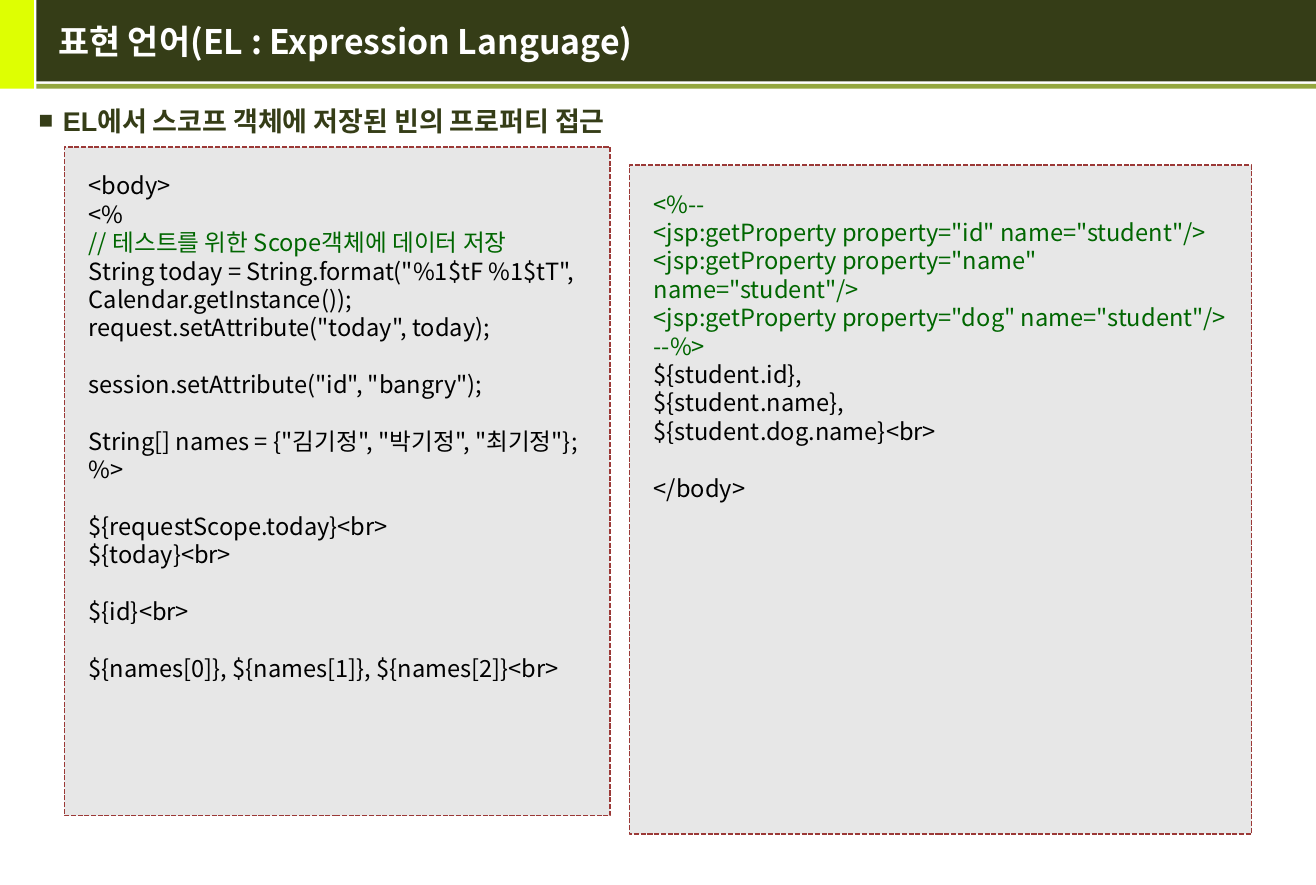
from pptx import Presentation
from pptx.dml.color import RGBColor
from pptx.enum.dml import MSO_LINE
from pptx.enum.shapes import MSO_SHAPE
from pptx.enum.text import MSO_ANCHOR, PP_ALIGN
from pptx.oxml.ns import qn
from pptx.util import Inches, Pt
from lxml.etree import SubElement

KOREAN_FONT = "Noto Sans CJK KR"
OLIVE, LIME, MOSS = "353D17", "DEFF02", "93A73F"
WHITE, BLACK, GREEN, GRAY, RED = "FFFFFF", "000000", "006600", "808080", "9B3937"
CODE_SIZE = 14
BLANK_LINE = 16.8

SCOPE_CODE = """<body>
<%
// 테스트를 위한 Scope객체에 데이터 저장
String today = String.format("%1$tF %1$tT", Calendar.getInstance());
request.setAttribute("today", today);

session.setAttribute("id", "bangry");

String[] names = {"김기정", "박기정", "최기정"};
%>

${requestScope.today}<br>
${today}<br>

${id}<br>

${names[0]}, ${names[1]}, ${names[2]}<br>"""

BEAN_CODE = """<%--
<jsp:getProperty property="id" name="student"/>
<jsp:getProperty property="name" name="student"/>
<jsp:getProperty property="dog" name="student"/>
--%>
${student.id},
${student.name},
${student.dog.name}<br>

</body>"""


def color(hex_code):
    """Turn a hex string into a colour."""
    return RGBColor.from_string(hex_code)


def style_paragraph(paragraph, size, hex_code, font=KOREAN_FONT, bold=False):
    """Left-align a paragraph and format its runs."""
    paragraph.alignment = PP_ALIGN.LEFT
    for run in paragraph.runs:
        run.font.size = Pt(size)
        run.font.name = font
        run.font.bold = bold
        run.font.color.rgb = color(hex_code)
        SubElement(run.font._element, qn("a:ea"), typeface=KOREAN_FONT)


def add_rect(slide, left, top, width, height, fill):
    """Add a plain filled rectangle without outline."""
    rect = slide.shapes.add_shape(
        MSO_SHAPE.RECTANGLE, Inches(left), Inches(top), Inches(width), Inches(height))
    rect.shadow.inherit = False
    rect.fill.solid()
    rect.fill.fore_color.rgb = color(fill)
    rect.line.fill.background()
    return rect


def add_text(slide, left, top, width, height, text, anchor=MSO_ANCHOR.TOP):
    """Add a wrapping text box and return its paragraph."""
    frame = slide.shapes.add_textbox(
        Inches(left), Inches(top), Inches(width), Inches(height)).text_frame
    frame.word_wrap = True
    frame.vertical_anchor = anchor
    frame.text = text
    return frame.paragraphs[0]


def add_square_bullet(paragraph, indent, hex_code):
    """Give a paragraph a hanging square bullet."""
    properties = paragraph._p.get_or_add_pPr()
    properties.set("marL", str(Inches(indent)))
    properties.set("indent", str(-Inches(indent)))
    bullet_color = SubElement(properties, qn("a:buClr"))
    SubElement(bullet_color, qn("a:srgbClr"), val=hex_code)
    SubElement(properties, qn("a:buSzPct"), val="90000")
    SubElement(properties, qn("a:buFont"), typeface="Arial")
    SubElement(properties, qn("a:buChar"), char="■")


def add_code_panel(slide, left, top, width, code, comment_lines):
    """Add a dashed code panel whose comment lines are green."""
    panel = add_rect(slide, left, top, width, 5.5, GRAY)
    fill_color = panel.fill._xPr.find(qn("a:solidFill"))[0]
    SubElement(fill_color, qn("a:alpha"), val="19000")
    panel.line.color.rgb = color(RED)
    panel.line.width = Pt(1)
    panel.line.dash_style = MSO_LINE.SQUARE_DOT

    frame = panel.text_frame
    frame.word_wrap = True
    frame.vertical_anchor = MSO_ANCHOR.TOP
    frame.margin_left = frame.margin_right = Inches(0.2)
    frame.margin_top = frame.margin_bottom = Inches(0.2)
    sections = [section.split("\n") for section in code.split("\n\n")]
    frame.text = "\n".join(line for section in sections for line in section)
    for number, paragraph in enumerate(frame.paragraphs):
        style_paragraph(paragraph, CODE_SIZE, GREEN if number in comment_lines else BLACK)

    section_start = 0
    for section in sections[:-1]:
        section_start += len(section)
        frame.paragraphs[section_start].space_before = Pt(BLANK_LINE)


def add_header(slide, title):
    """Add the coloured bands and the slide title."""
    add_rect(slide, 0, 0, 0.28, 0.73, LIME)
    add_rect(slide, 0.3, 0, 10.54, 0.67, OLIVE)
    add_rect(slide, 0.3, 0.69, 10.55, 0.04, MOSS)
    heading = add_text(slide, 0.38, 0, 10.32, 0.68, title, MSO_ANCHOR.MIDDLE)
    style_paragraph(heading, 20, WHITE, bold=True)


def main():
    """Build the slide and save it."""
    presentation = Presentation()
    presentation.slide_width = Inches(10.83)
    presentation.slide_height = Inches(7.28)
    slide = presentation.slides.add_slide(presentation.slide_layouts[6])

    add_header(slide, "표현 언어(EL : Expression Language)")
    topic = add_text(slide, 0.22, 0.81, 10.47, 6.22,
                     "EL에서 스코프 객체에 저장된 빈의 프로퍼티 접근")
    add_square_bullet(topic, 0.2, OLIVE)
    style_paragraph(topic, 16, OLIVE, font="Arial", bold=True)
    add_code_panel(slide, 0.53, 1.21, 4.49, SCOPE_CODE, {2})
    add_code_panel(slide, 5.18, 1.36, 5.12, BEAN_CODE, range(5))

    presentation.save("out.pptx")


if __name__ == "__main__":
    main()
